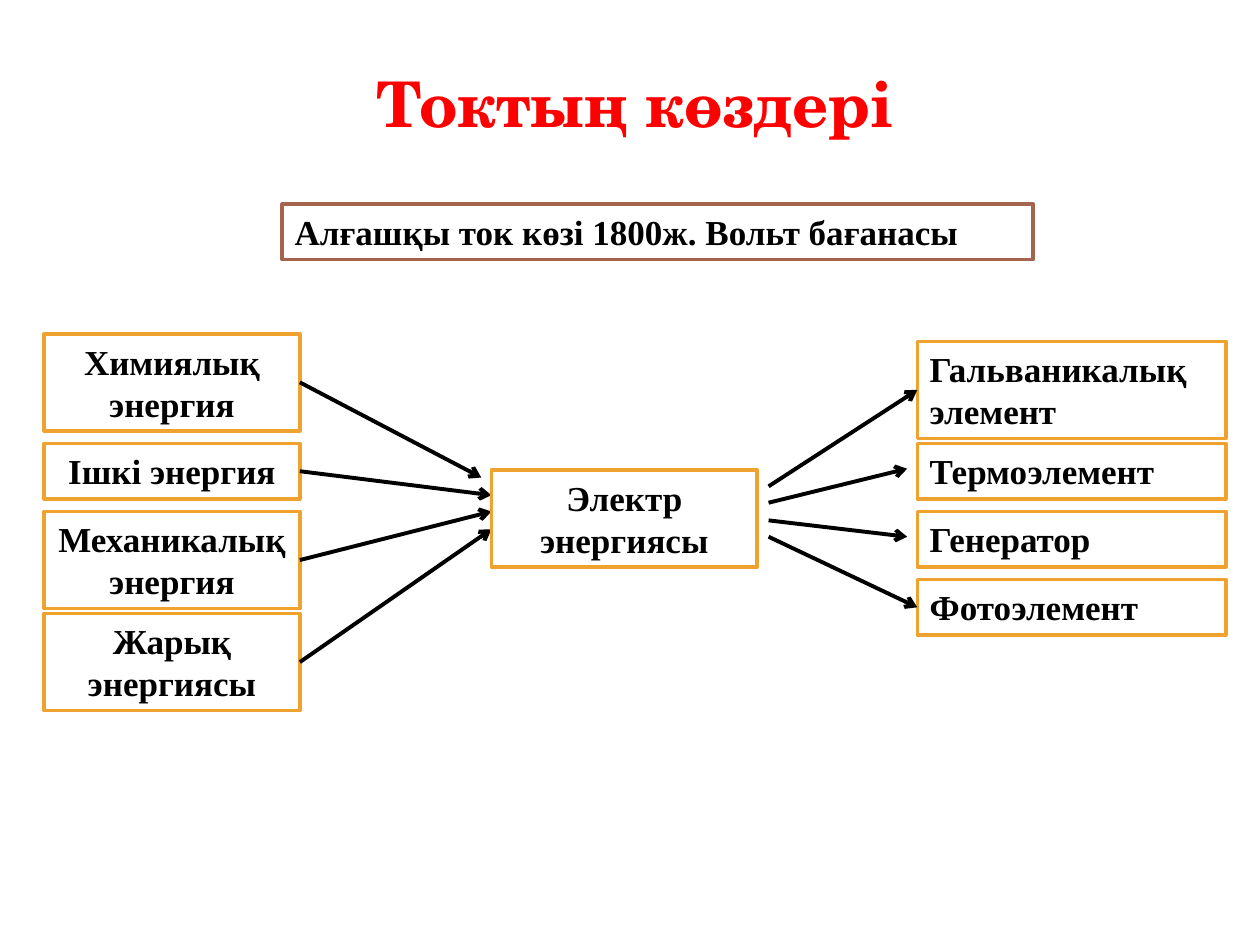
from lxml import etree
from pptx import Presentation
from pptx.dml.color import RGBColor
from pptx.enum.shapes import MSO_CONNECTOR as Conn, MSO_SHAPE as Shape
from pptx.enum.text import MSO_ANCHOR as Anchor, MSO_AUTO_SIZE as AutoSize, PP_ALIGN as Align
from pptx.oxml.ns import qn
from pptx.util import Inches, Pt

RED = RGBColor(0xFF, 0x00, 0x00)
BLACK = RGBColor(0x00, 0x00, 0x00)
WHITE = RGBColor(0xFF, 0xFF, 0xFF)
BROWN = RGBColor(0xA5, 0x64, 0x4E)
ORANGE = RGBColor(0xF0, 0xA2, 0x2E)

ONE_LINE, TWO_LINES = 0.44, 0.77
RIGHT_SIDE, LEFT_SIDE = 3, 1


def write(tf, text, *, size=20, font="Times New Roman", color=BLACK, align=Align.LEFT,
          anchor=Anchor.TOP, auto_size=AutoSize.SHAPE_TO_FIT_TEXT):
    """Put one bold paragraph into a text frame."""
    tf.word_wrap = True
    tf.auto_size = auto_size
    tf.vertical_anchor = anchor
    p = tf.paragraphs[0]
    p.alignment = align
    r = p.add_run()
    r.text = text
    r.font.size, r.font.name, r.font.bold = Pt(size), font, True
    r.font.color.rgb = color


def add_box(s, text, x, y, w, h, line=ORANGE, align=Align.LEFT):
    """Add a white outlined rectangle with a label and return it."""
    sp = s.shapes.add_shape(Shape.RECTANGLE, Inches(x), Inches(y), Inches(w), Inches(h))
    sp.shadow.inherit = False
    sp.fill.solid()
    sp.fill.fore_color.rgb = WHITE
    sp.line.color.rgb = line
    sp.line.width = Pt(2)
    write(sp.text_frame, text, align=align)
    return sp


def add_arrow(s, start, end, source=None, target=None):
    """Add a black arrow, joined to the given boxes where there are any."""
    x1, y1 = start
    x2, y2 = end
    cx = s.shapes.add_connector(Conn.STRAIGHT, Inches(x1), Inches(y1), Inches(x2), Inches(y2))
    cx.line.color.rgb = BLACK
    cx.line.width = Pt(2.25)
    etree.SubElement(cx.line._get_or_add_ln(), qn("a:tailEnd"), type="arrow")
    etree.SubElement(cx._element.spPr, qn("a:effectLst"))
    if source is not None:
        cx.begin_connect(source, RIGHT_SIDE)
    if target is not None:
        cx.end_connect(target, LEFT_SIDE)


def add_title(s, x, y, w, h):
    """Place and fill the title placeholder."""
    sp = s.shapes.title
    sp.left, sp.top, sp.width, sp.height = (Inches(v) for v in (x, y, w, h))
    write(sp.text_frame, "Токтың көздері", size=36, font="TeX Gyre Schola", color=RED,
          align=Align.CENTER, anchor=Anchor.MIDDLE, auto_size=AutoSize.NONE)


def add_energies(s, x, w):
    """Stack the energy kinds, each with an arrow towards the centre."""
    rows = [
        ("Химиялық энергия", 2.65, TWO_LINES, (3.82, 3.79)),
        ("Ішкі энергия", 3.52, ONE_LINE, (3.9, 3.93)),
        ("Механикалық энергия", 4.06, TWO_LINES, (3.9, 4.06)),
        ("Жарық энергиясы", 4.87, TWO_LINES, (3.9, 4.2)),
    ]
    for text, y, h, end in rows:
        sp = add_box(s, text, x, y, w, h, align=Align.CENTER)
        add_arrow(s, (x + w, y + h / 2), end, source=sp)


def add_sources(s, x, w):
    """Stack the current sources, each with an arrow from the centre."""
    rows = [
        ("Гальваникалық элемент", 2.71, TWO_LINES, 3.86, None),
        ("Термоэлемент", 3.52, ONE_LINE, 3.99, (7.2, 3.72)),
        ("Генератор", 4.06, ONE_LINE, 4.13, (7.2, 4.26)),
        ("Фотоэлемент", 4.6, ONE_LINE, 4.26, None),
    ]
    for text, y, h, start_y, end in rows:
        sp = add_box(s, text, x, y, w, h)
        add_arrow(s, (6.1, start_y), end or (x, y + h / 2), target=None if end else sp)


def main():
    """Build the slide and save it."""
    prs = Presentation()
    prs.slide_width, prs.slide_height = Inches(10), Inches(7.5)
    s = prs.slides.add_slide(prs.slide_layouts[5])
    add_title(s, 0.29, 0.35, 9.5, 0.92)
    add_box(s, "Алғашқы ток көзі 1800ж. Вольт бағанасы", 2.24, 1.62, 5.96, ONE_LINE, line=BROWN)
    add_energies(s, 0.35, 2.03)
    add_box(s, "Электр энергиясы", 3.9, 3.73, 2.11, TWO_LINES, align=Align.CENTER)
    add_sources(s, 7.28, 2.45)
    prs.save("out.pptx")


if __name__ == "__main__":
    main()
